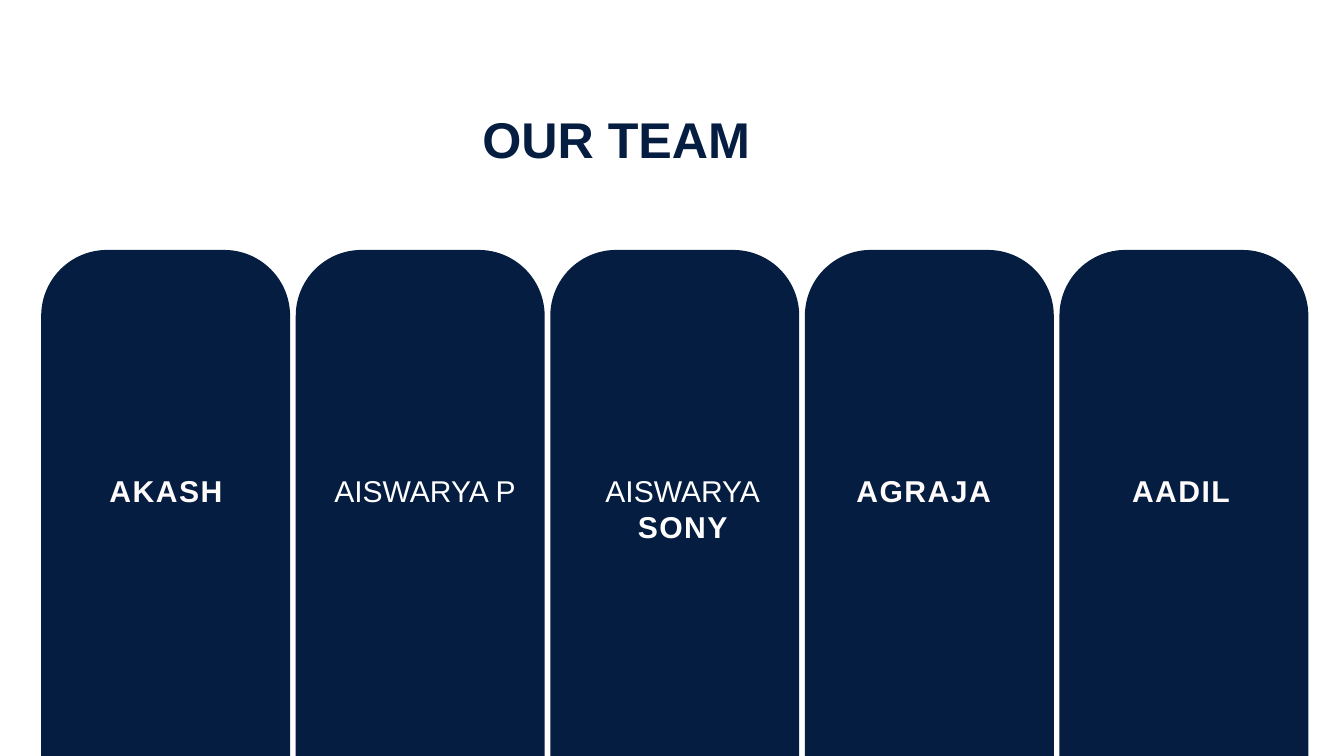
from pptx import Presentation
from pptx.dml.color import RGBColor
from pptx.enum.shapes import MSO_SHAPE
from pptx.enum.text import MSO_ANCHOR, MSO_AUTO_SIZE, PP_ALIGN
from pptx.util import Pt

NAVY = RGBColor(0x05, 0x1D, 0x40)
WHITE = RGBColor(0xFF, 0xFF, 0xFF)
WARM_WHITE = RGBColor(0xFF, 0xFB, 0xFB)

CARD_LEFT, CARD_TOP = 44.1, 267.8
CARD_WIDTH, CARD_HEIGHT = 266.7, 973.4
CARD_PITCH = 272.75
CORNER_RADIUS = 70.6
NAME_TOP, NAME_LINE = 506.2, 38.8

# Each member: left and width of the name, colour, and lines as (text, is bold).
MEMBERS = [
    (61.9, 231.8, WARM_WHITE, [("AKASH", True)]),
    (349.9, 211, WHITE, [("AISWARYA P", False)]),
    (635, 193, WHITE, [("AISWARYA", False), ("SONY", True)]),
    (904.3, 170.6, WARM_WHITE, [("AGRAJA", True)]),
    (1180.1, 170.6, WARM_WHITE, [("AADIL", True)]),
]


def place(box, left, top, width, height):
    """Move and resize a box, with lengths in points."""
    box.left, box.top = Pt(left), Pt(top)
    box.width, box.height = Pt(width), Pt(height)


def prepare_frame(frame):
    """Give a text frame no margins, wrapping and top alignment."""
    frame.margin_left = frame.margin_right = Pt(0)
    frame.margin_top = frame.margin_bottom = Pt(0)
    frame.word_wrap = True
    frame.auto_size = MSO_AUTO_SIZE.SHAPE_TO_FIT_TEXT
    frame.vertical_anchor = MSO_ANCHOR.TOP


def format_line(paragraph, size, leading, color, bold):
    """Centre a paragraph and set the font of its runs."""
    paragraph.alignment = PP_ALIGN.CENTER
    paragraph.line_spacing = Pt(leading)
    for run in paragraph.runs:
        run.font.name = "Arial"
        run.font.size = Pt(size)
        run.font.bold = bold
        run.font.color.rgb = color


def add_title(slide, text):
    """Fill and format the title placeholder."""
    title = slide.shapes.title
    place(title, 390.2, 115.9, 540, 65.5)
    title.text_frame.text = text
    prepare_frame(title.text_frame)
    format_line(title.text_frame.paragraphs[0], 53.8, 64.5, NAVY, True)


def add_card(slide, index):
    """Draw the rounded card of one member, running off the slide's foot."""
    card = slide.shapes.add_shape(
        MSO_SHAPE.ROUNDED_RECTANGLE,
        Pt(CARD_LEFT + index * CARD_PITCH), Pt(CARD_TOP),
        Pt(CARD_WIDTH), Pt(CARD_HEIGHT))
    card.adjustments[0] = CORNER_RADIUS / CARD_WIDTH
    card.shadow.inherit = False
    card.fill.solid()
    card.fill.fore_color.rgb = NAVY
    card.line.fill.background()


def add_name(slide, left, width, color, lines):
    """Write a member's name, with bold lines letter-spaced."""
    name = slide.shapes.add_textbox(
        Pt(left), Pt(NAME_TOP), Pt(width), Pt(NAME_LINE * len(lines)))
    frame = name.text_frame
    frame.text = "\n".join(text for text, _ in lines)
    prepare_frame(frame)
    for paragraph, (_, bold) in zip(frame.paragraphs, lines):
        format_line(paragraph, 32.3 if bold else 32.2, NAME_LINE, color, bold)
        if bold:
            paragraph.runs[0]._r.get_or_add_rPr().set("spc", "160")


def main():
    """Build the team slide."""
    deck = Presentation()
    deck.slide_width, deck.slide_height = Pt(1440), Pt(810)
    slide = deck.slides.add_slide(deck.slide_layouts[5])
    add_title(slide, "OUR TEAM")
    for index, (left, width, color, lines) in enumerate(MEMBERS):
        add_card(slide, index)
        add_name(slide, left, width, color, lines)
    deck.save("out.pptx")


if __name__ == "__main__":
    main()
